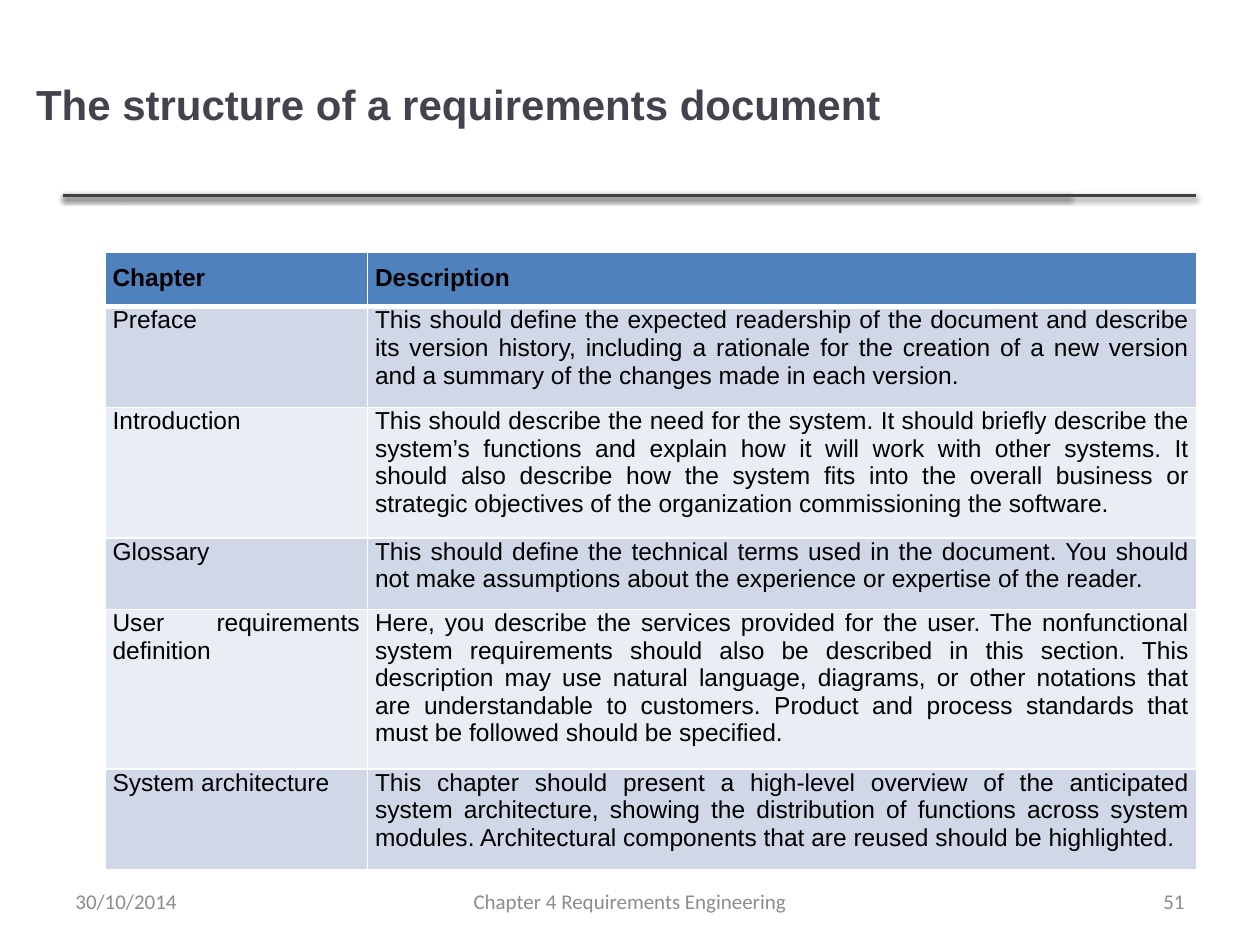
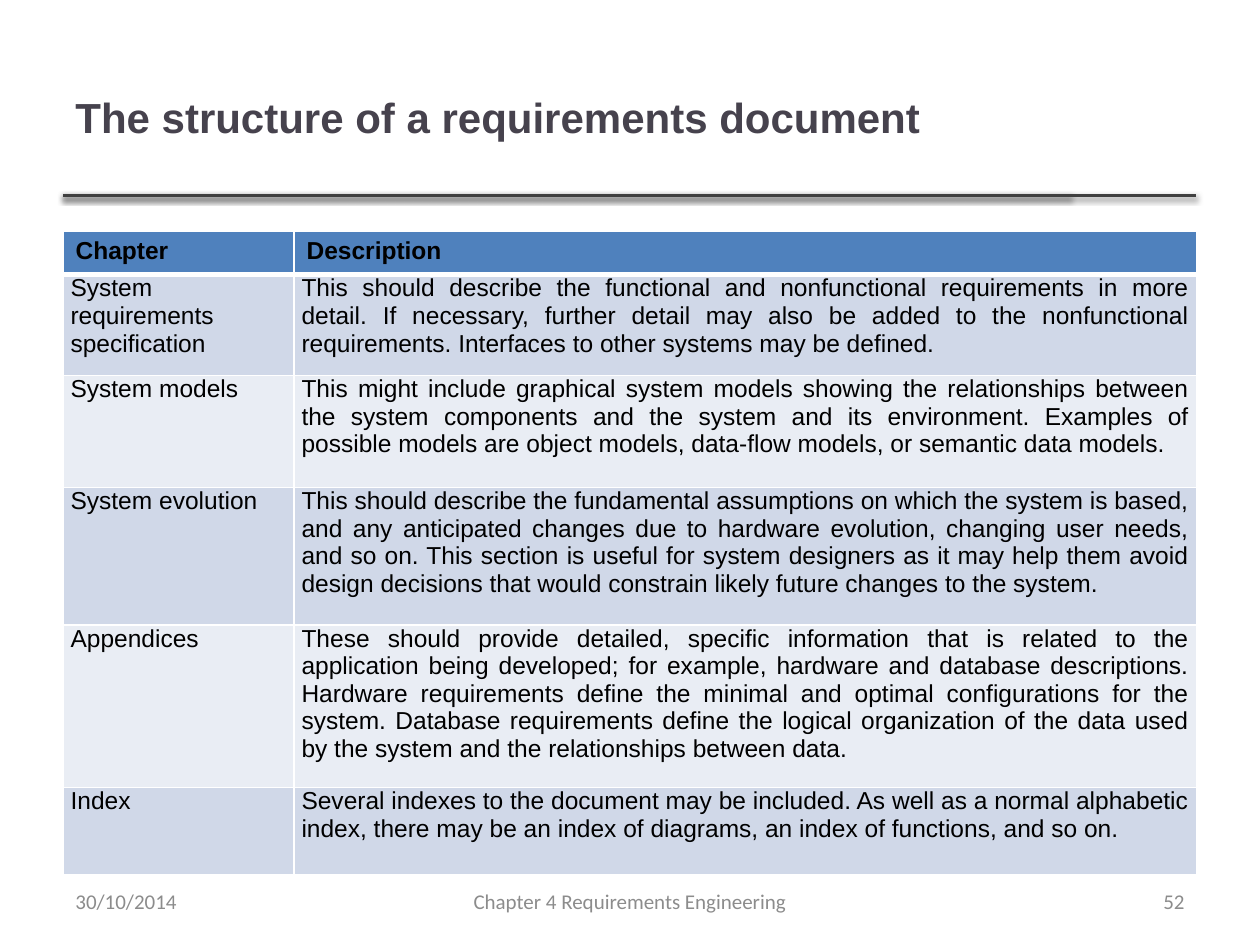
from dataclasses import dataclass
from itertools import product

from lxml.etree import SubElement
from pptx import Presentation
from pptx.dml.color import RGBColor
from pptx.enum.shapes import MSO_CONNECTOR
from pptx.enum.text import MSO_ANCHOR, PP_ALIGN
from pptx.oxml import parse_xml
from pptx.oxml.ns import nsdecls, qn
from pptx.slide import Slide
from pptx.table import _Cell
from pptx.text.text import _Paragraph
from pptx.util import Pt

COLORS = {
    "rule": "404040",
    "shadow": "000000",
    "title": "46424D",
    "footer": "8C8C8C",
    "text": "000000",
    "header": "4F81BD",
    "odd_row": "D0D8E8",
    "even_row": "E9EDF4",
    "border": "FFFFFF",
}
TITLE = "The structure of a requirements document"
DATE = "30/10/2014"
FOOTER = "Chapter 4 Requirements Engineering"
HEADINGS = ("Chapter", "Description")
RULE_LEFT, RULE_TOP = 36, 111.6
RULE_ENDS = (611.5, 683.5)


@dataclass
class Box:
    left: float
    top: float
    width: float
    height: float


@dataclass
class TextStyle:
    font: str
    size: float
    color: str
    bold: bool = False
    align: PP_ALIGN = PP_ALIGN.LEFT


@dataclass
class CellStyle:
    """Text style, fill and insets (left and right, top, bottom) of a cell."""
    text: TextStyle
    fill: str
    side: float
    top: float
    bottom: float


@dataclass
class Chapter:
    name: str
    description: str
    height: float


@dataclass
class Page:
    number: int
    title_box: Box
    table_left: float
    table_top: float
    columns: tuple[float, float]
    header_height: float
    header: CellStyle
    chapters: list[Chapter]


TITLE_STYLE = TextStyle("Arial", 24, "title", bold=True)
BODY_STYLE = TextStyle("Arial", 14, "text", align=PP_ALIGN.JUSTIFY)
HEADING_JUSTIFIED = TextStyle("Arial", 14, "text", True, PP_ALIGN.JUSTIFY)
HEADING_LEFT = TextStyle("Arial", 14, "text", True)
BODY_CELLS = [CellStyle(BODY_STYLE, fill, 4.32, 0, 7.2)
              for fill in ("odd_row", "even_row")]

PAGES = [
    Page(
        51, Box(13.5, 16.5, 580.5, 86), 60, 144, (150, 474), 29.5,
        CellStyle(HEADING_JUSTIFIED, "header", 4.32, 7.2, 7.2),
        [
            Chapter("Preface",
                    "This should define the expected readership of the document and "
                    "describe its version history, including a rationale for the "
                    "creation of a new version and a summary of the changes made in "
                    "each version.", 54.5),
            Chapter("Introduction",
                    "This should describe the need for the system. It should briefly "
                    "describe the system’s functions and explain how it will work with "
                    "other systems. It should also describe how the system fits into "
                    "the overall business or strategic objectives of the organization "
                    "commissioning the software.", 70),
            Chapter("Glossary",
                    "This should define the technical terms used in the document. You "
                    "should not make assumptions about the experience or expertise of "
                    "the reader.", 38.5),
            Chapter("User requirements definition",
                    "Here, you describe the services provided for the user. The "
                    "nonfunctional system requirements should also be described in "
                    "this section. This description may use natural language, "
                    "diagrams, or other notations that are understandable to "
                    "customers. Product and process standards that must be followed "
                    "should be specified.", 86),
            Chapter("System architecture",
                    "This chapter should present a high-level overview of the "
                    "anticipated system architecture, showing the distribution of "
                    "functions across system modules. Architectural components that "
                    "are reused should be highlighted.", 54),
        ],
    ),
    Page(
        52, Box(36, 21.6, 574.5, 90), 36, 132, (132, 516), 25,
        CellStyle(HEADING_LEFT, "header", 7.2, 3.6, 3.6),
        [
            Chapter("System requirements specification",
                    "This should describe the functional and nonfunctional "
                    "requirements in more detail. If necessary, further detail may "
                    "also be added to the nonfunctional requirements. Interfaces to "
                    "other systems may be defined.", 55),
            Chapter("System models",
                    "This might include graphical system models showing the "
                    "relationships between the system components and the system and "
                    "its environment. Examples of possible models are object models, "
                    "data-flow models, or semantic data models.", 64),
            Chapter("System evolution",
                    "This should describe the fundamental assumptions on which the "
                    "system is based, and any anticipated changes due to hardware "
                    "evolution, changing user needs, and so on. This section is useful "
                    "for system designers as it may help them avoid design decisions "
                    "that would constrain likely future changes to the system.", 78.5),
            Chapter("Appendices",
                    "These should provide detailed, specific information that is "
                    "related to the application being developed; for example, hardware "
                    "and database descriptions. Hardware requirements define the "
                    "minimal and optimal configurations for the system. Database "
                    "requirements define the logical organization of the data used by "
                    "the system and the relationships between data.", 93),
            Chapter("Index",
                    "Several indexes to the document may be included. As well as a "
                    "normal alphabetic index, there may be an index of diagrams, an "
                    "index of functions, and so on.", 49.5),
        ],
    ),
]


def rgb(name: str) -> RGBColor:
    return RGBColor.from_string(COLORS[name])


def write(p: _Paragraph, text: str, style: TextStyle) -> None:
    p.alignment = style.align
    r = p.add_run()
    r.text = text
    r.font.name = style.font
    r.font.size = Pt(style.size)
    r.font.bold = style.bold
    r.font.color.rgb = rgb(style.color)


def add_text(s: Slide, box: Box, text: str, style: TextStyle) -> None:
    sp = s.shapes.add_textbox(Pt(box.left), Pt(box.top), Pt(box.width), Pt(box.height))
    tf = sp.text_frame
    tf.word_wrap = True
    tf.vertical_anchor = MSO_ANCHOR.MIDDLE
    write(tf.paragraphs[0], text, style)


def add_rule(s: Slide, right: float) -> None:
    """Draw the line under the title, with its soft shadow below."""
    line = s.shapes.add_connector(MSO_CONNECTOR.STRAIGHT, Pt(RULE_LEFT), Pt(RULE_TOP),
                                  Pt(right), Pt(RULE_TOP))
    line.line.color.rgb = rgb("rule")
    line.line.width = Pt(2)
    line._element.spPr.append(parse_xml(
        f'<a:effectLst {nsdecls("a")}>'
        f'<a:outerShdw blurRad="{Pt(3.1)}" dist="{Pt(1.6)}" dir="5400000" rotWithShape="0">'
        f'<a:srgbClr val="{COLORS["shadow"]}"><a:alpha val="38000"/></a:srgbClr>'
        '</a:outerShdw></a:effectLst>'))


def set_borders(cell: _Cell, top: float, bottom: float) -> None:
    tc_pr = cell._tc.get_or_add_tcPr()
    widths = {"a:lnL": 1, "a:lnR": 1, "a:lnT": top, "a:lnB": bottom}
    for tag, width in widths.items():
        ln = SubElement(tc_pr, qn(tag), w=str(Pt(width)))
        fill = SubElement(ln, qn("a:solidFill"))
        SubElement(fill, qn("a:srgbClr"), val=COLORS["border"])


def fill_cell(cell: _Cell, text: str, style: CellStyle) -> None:
    cell.fill.solid()
    cell.fill.fore_color.rgb = rgb(style.fill)
    cell.margin_left = cell.margin_right = Pt(style.side)
    cell.margin_top, cell.margin_bottom = Pt(style.top), Pt(style.bottom)
    write(cell.text_frame.paragraphs[0], text, style.text)


def add_chapter_table(s: Slide, page: Page) -> None:
    texts = [HEADINGS] + [(c.name, c.description) for c in page.chapters]
    heights = [page.header_height] + [c.height for c in page.chapters]
    table = s.shapes.add_table(len(texts), len(HEADINGS), Pt(page.table_left),
                               Pt(page.table_top), Pt(sum(page.columns)),
                               Pt(sum(heights))).table
    for column, width in zip(table.columns, page.columns):
        column.width = Pt(width)
    for row, height in zip(table.rows, heights):
        row.height = Pt(height)
    for i, j in product(range(len(texts)), range(len(HEADINGS))):
        cell = table.cell(i, j)
        set_borders(cell, top=3 if i == 1 else 1, bottom=3 if i == 0 else 1)
        style = BODY_CELLS[(i - 1) % 2] if i else page.header
        fill_cell(cell, texts[i][j], style)


def add_footers(s: Slide, number: int) -> None:
    footers = [
        (36, 168, DATE, PP_ALIGN.LEFT),
        (246, 228, FOOTER, PP_ALIGN.CENTER),
        (516, 168, str(number), PP_ALIGN.RIGHT),
    ]
    for left, width, text, align in footers:
        add_text(s, Box(left, 500.5, width, 28.8), text,
                 TextStyle("Calibri", 12, "footer", align=align))


def main() -> None:
    prs = Presentation()
    prs.slide_width, prs.slide_height = Pt(720), Pt(540)
    for page in PAGES:
        s = prs.slides.add_slide(prs.slide_layouts[6])
        for right in RULE_ENDS:
            add_rule(s, right)
        add_text(s, page.title_box, TITLE, TITLE_STYLE)
        add_chapter_table(s, page)
        add_footers(s, page.number)
    prs.save("out.pptx")


if __name__ == "__main__":
    main()
